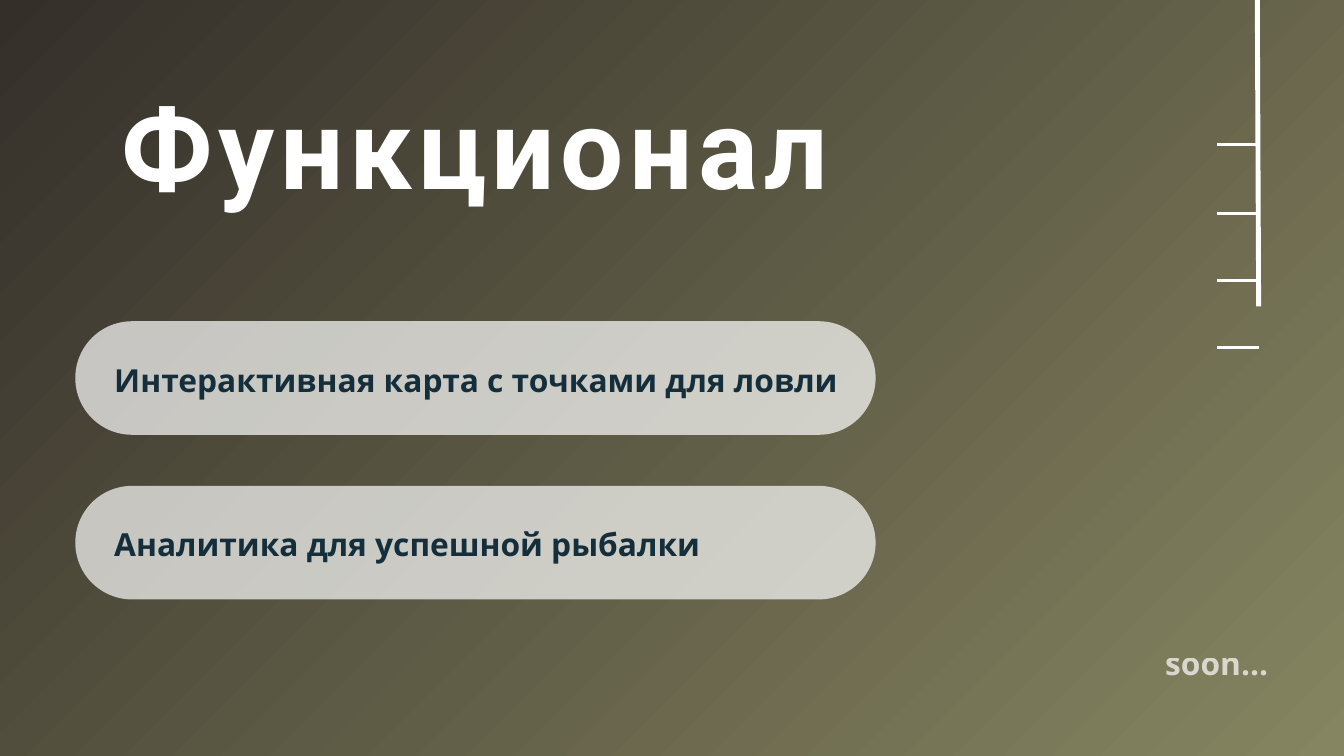
from dataclasses import dataclass

from lxml import etree
from pptx import Presentation
from pptx.dml.color import RGBColor
from pptx.enum.shapes import MSO_CONNECTOR, MSO_SHAPE
from pptx.enum.text import MSO_ANCHOR, MSO_AUTO_SIZE, PP_ALIGN
from pptx.oxml.ns import qn
from pptx.util import Inches, Pt

PILL = MSO_SHAPE.ROUNDED_RECTANGLE
STRAIGHT = MSO_CONNECTOR.STRAIGHT
TOP = MSO_ANCHOR.TOP
FIXED = MSO_AUTO_SIZE.NONE
LEFT, CENTER = PP_ALIGN.LEFT, PP_ALIGN.CENTER
TITLE_ONLY = 5


@dataclass(frozen=True)
class Theme:
    dark: str = "342F29"
    olive: str = "868561"
    white: str = "FFFFFF"
    ink: str = "142F3B"
    title_font: str = "Roboto"
    body_font: str = "Open Sans"
    title_size: float = 120
    body_size: float = 34
    line_ratio: float = 1.4
    title_ratio: float = 1.3
    title_tracking: int = 600


def set_alpha(fill_parent, percent):
    color = fill_parent.find(qn("a:solidFill"))[0]
    etree.SubElement(color, qn("a:alpha"), val=str(percent * 1000))


class SlideBuilder:
    def __init__(self, slide, theme):
        self.slide = slide
        self.theme = theme

    def background(self):
        fill = self.slide.background.fill
        fill.gradient()
        fill.gradient_angle = 315  # counter-clockwise: top left to bottom right
        stops = zip(fill.gradient_stops, (self.theme.dark, self.theme.olive), (0, 1))
        for stop, color, position in stops:
            stop.color.rgb = RGBColor.from_string(color)
            stop.position = position

    def _write(self, shape, text, font_name, size, color, ratio, align):
        frame = shape.text_frame
        frame.word_wrap = True
        frame.auto_size = FIXED
        frame.vertical_anchor = TOP
        frame.margin_left = frame.margin_right = 0
        frame.margin_top = frame.margin_bottom = 0
        frame.text = text
        paragraph = frame.paragraphs[0]
        paragraph.alignment = align
        paragraph.line_spacing = Pt(size * ratio)
        font = paragraph.font
        font.name, font.size, font.bold = font_name, Pt(size), True
        font.color.rgb = RGBColor.from_string(color)
        return paragraph

    def title(self, text, left, top, width, height):
        theme = self.theme
        title = self.slide.shapes.title
        title.left, title.top = Inches(left), Inches(top)
        title.width, title.height = Inches(width), Inches(height)
        paragraph = self._write(title, text, theme.title_font, theme.title_size,
                                theme.white, theme.title_ratio, CENTER)
        run_properties = paragraph.runs[0].font._element
        run_properties.set("spc", str(theme.title_tracking))

    def label(self, text, left, top, width, height, color, alpha=None):
        theme = self.theme
        box = self.slide.shapes.add_textbox(
            Inches(left), Inches(top), Inches(width), Inches(height))
        paragraph = self._write(box, text, theme.body_font, theme.body_size,
                                color, theme.line_ratio, LEFT)
        if alpha is not None:
            set_alpha(paragraph.font._element, alpha)

    def pill(self, left, top, width, height, alpha):
        pill = self.slide.shapes.add_shape(
            PILL, Inches(left), Inches(top), Inches(width), Inches(height))
        pill.adjustments[0] = 0.5
        pill.shadow.inherit = False
        pill.fill.solid()
        pill.fill.fore_color.rgb = RGBColor.from_string(self.theme.white)
        set_alpha(pill._element.spPr, alpha)
        pill.line.fill.background()

    def line(self, x1, y1, x2, y2, weight):
        line = self.slide.shapes.add_connector(
            STRAIGHT, Inches(x1), Inches(y1), Inches(x2), Inches(y2))
        line.line.color.rgb = RGBColor.from_string(self.theme.white)
        line.line.width = Pt(weight)
        etree.SubElement(line._element.spPr, qn("a:effectLst"))


def main():
    presentation = Presentation()
    presentation.slide_width = Inches(20)
    presentation.slide_height = Inches(11.25)
    slide = presentation.slides.add_slide(presentation.slide_layouts[TITLE_ONLY])
    theme = Theme()
    builder = SlideBuilder(slide, theme)

    builder.background()

    # Heading, aligned with the feature pills
    column_left, column_width = 1.12, 11.91
    builder.title("Функционал", column_left, 0.99, column_width, 2.14)

    # Features
    features = (
        ("Интерактивная карта с точками для ловли", 70),
        ("Аналитика для успешной рыбалки", 69),
    )
    first_top, pitch = 4.78, 2.45
    for index, (feature, alpha) in enumerate(features):
        top = first_top + index * pitch
        builder.pill(column_left, top, column_width, 1.69, alpha)
        builder.label(feature, 1.7, top + 0.49, 11.3, 0.63, theme.ink)

    # Teaser, with room to stay on one line
    builder.label("soon...", 17.34, 9.49, 1.8, 0.63, theme.white, alpha=70)

    # Scale: slightly tilted pole with tick marks
    builder.line(18.73, 4.56, 18.71, 0, 5.25)
    for tick_y in (2.15, 3.18, 4.18, 5.17):
        builder.line(18.11, tick_y, 18.73, tick_y, 3)

    presentation.save("out.pptx")


if __name__ == "__main__":
    main()
